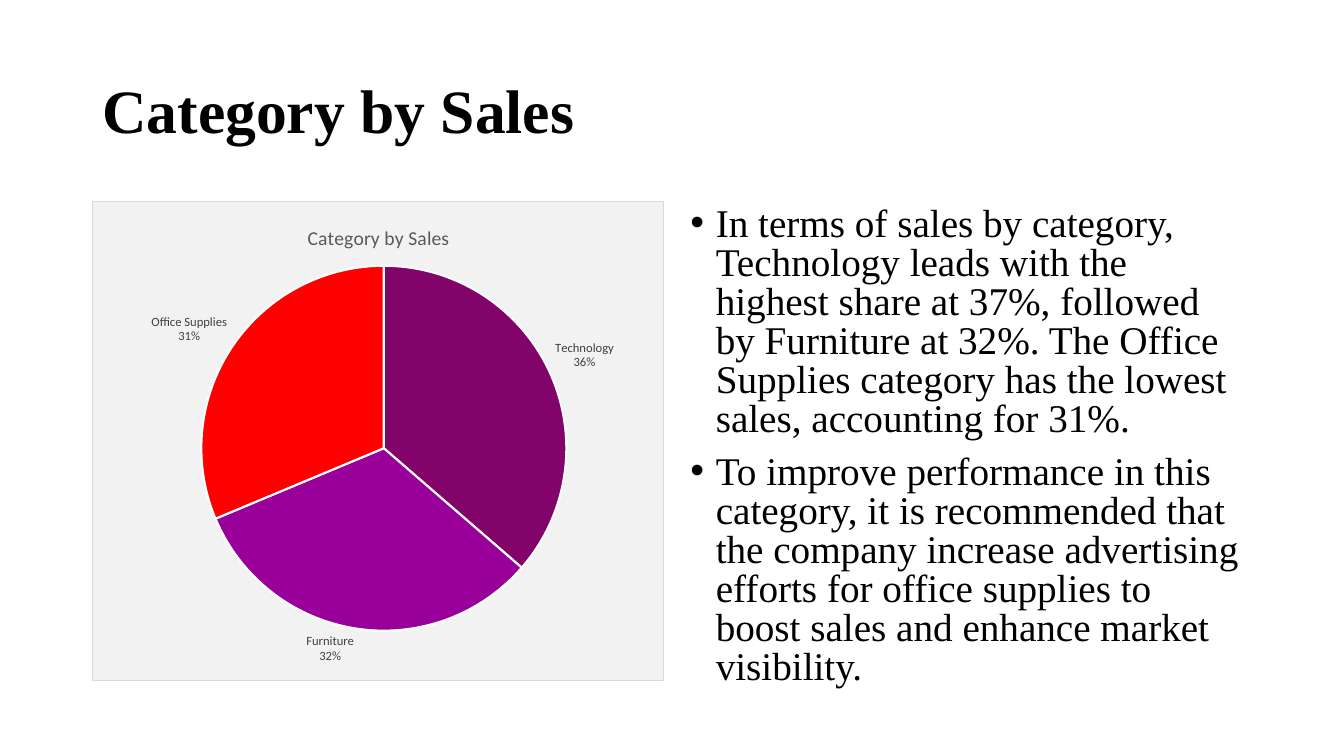
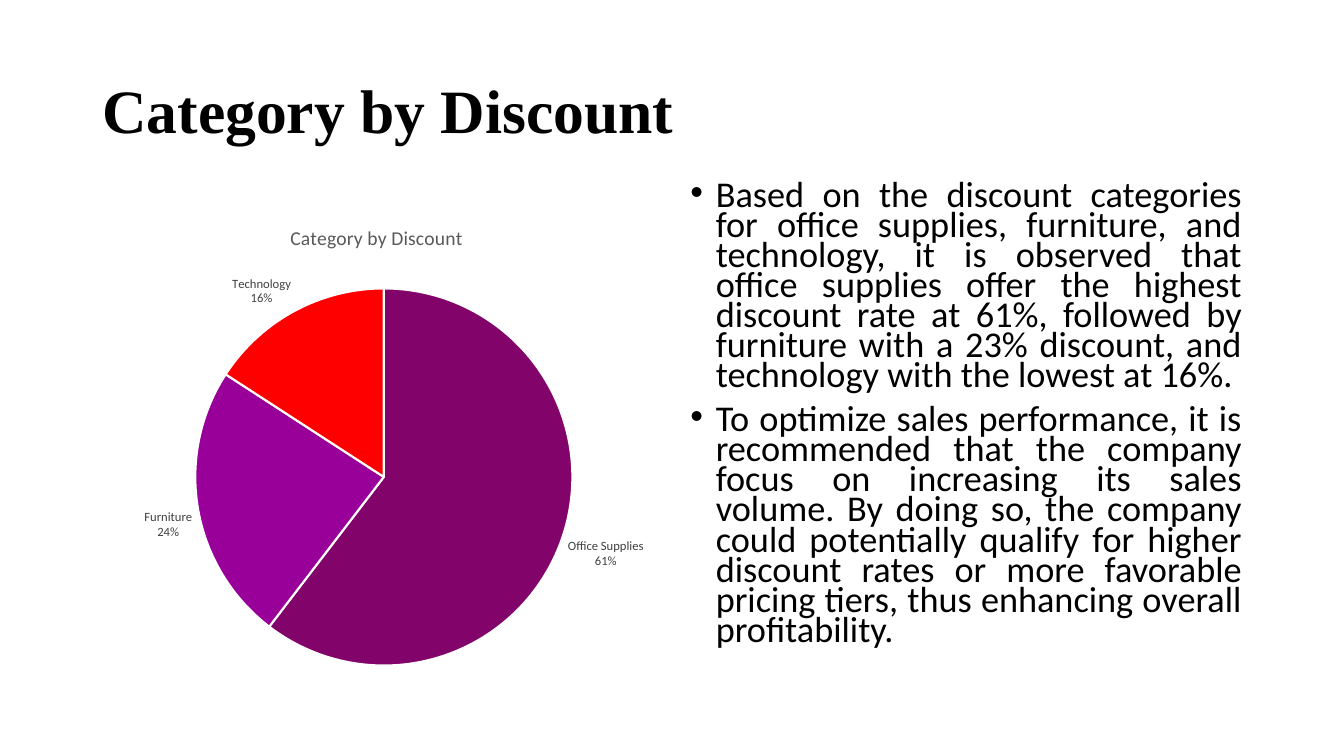
from dataclasses import dataclass

from lxml import etree
from pptx import Presentation
from pptx.chart.data import CategoryChartData
from pptx.dml.color import RGBColor
from pptx.enum.chart import XL_CHART_TYPE, XL_LABEL_POSITION
from pptx.enum.text import MSO_ANCHOR, PP_ALIGN
from pptx.oxml import parse_xml
from pptx.oxml.ns import nsdecls, qn
from pptx.util import Cm, Pt

PIE = XL_CHART_TYPE.PIE
OUTSIDE_END = XL_LABEL_POSITION.OUTSIDE_END
MIDDLE = MSO_ANCHOR.MIDDLE
LEFT = PP_ALIGN.LEFT
JUSTIFY = PP_ALIGN.JUSTIFY

BLACK = RGBColor(0x00, 0x00, 0x00)
WHITE = RGBColor(0xFF, 0xFF, 0xFF)
CHART_TITLE_GREY = RGBColor(0x59, 0x59, 0x59)
LABEL_GREY = RGBColor(0x40, 0x40, 0x40)
PANEL_GREY = RGBColor(0xF2, 0xF2, 0xF2)
PANEL_BORDER = RGBColor(0xD9, 0xD9, 0xD9)
SLICE_COLORS = (
    RGBColor(0x82, 0x04, 0x6A),
    RGBColor(0x99, 0x00, 0x99),
    RGBColor(0xFF, 0x00, 0x00),
)

SERIF = "Times New Roman"
SANS = "Calibri"

SLIDE_WIDTH, SLIDE_HEIGHT = Cm(33.87), Cm(19.05)
TITLE_BOX = (Cm(2.33), Cm(1.01), Cm(29.21), Cm(3.68))
CHART_BOX = (Cm(2.33), Cm(5.07), Cm(14.4), Cm(12.09))
BULLET_INDENT = Cm(0.64)


@dataclass
class CategorySlide:
    title: str
    shares: dict
    findings: tuple
    findings_box: tuple
    findings_font: str
    findings_size: float
    line_spacing: float
    alignment: PP_ALIGN
    chart_title_at: tuple
    pie_area: tuple
    has_panel: bool


def style_font(font, name, size, color, bold=False):
    font.name = name
    font.size = Pt(size)
    font.bold = bold
    font.color.rgb = color


def add_title(slide, title, box):
    frame = slide.shapes.add_textbox(*box).text_frame
    frame.word_wrap = True
    frame.vertical_anchor = MIDDLE
    heading = frame.paragraphs[0]
    heading.text = title
    heading.line_spacing = 0.9
    style_font(heading.runs[0].font, SERIF, 44, BLACK, bold=True)


def add_bullet(paragraph):
    properties = paragraph._p.get_or_add_pPr()
    properties.set("marL", str(BULLET_INDENT))
    properties.set("indent", str(-BULLET_INDENT))
    etree.SubElement(properties, qn("a:buFont")).set("typeface", "Arial")
    etree.SubElement(properties, qn("a:buChar")).set("char", "•")


def add_findings(slide, content, box):
    frame = slide.shapes.add_textbox(*box).text_frame
    frame.word_wrap = True
    for number, finding in enumerate(content.findings):
        paragraph = frame.add_paragraph() if number else frame.paragraphs[0]
        paragraph.text = finding
        paragraph.alignment = content.alignment
        paragraph.line_spacing = content.line_spacing
        paragraph.space_before = Pt(10)
        add_bullet(paragraph)
        style_font(paragraph.runs[0].font, content.findings_font,
                   content.findings_size, BLACK)


def set_layout(parent, index, settings):
    for old_layout in parent.findall(qn("c:layout")):
        parent.remove(old_layout)
    layout = etree.Element(qn("c:layout"))
    manual = etree.SubElement(layout, qn("c:manualLayout"))
    for tag, value in settings.items():
        etree.SubElement(manual, qn(f"c:{tag}")).set("val", str(value))
    parent.insert(index, layout)


def set_panel(chart, has_panel):
    if has_panel:
        fill = f'<a:solidFill><a:srgbClr val="{PANEL_GREY}"/></a:solidFill>'
        border = f'<a:solidFill><a:srgbClr val="{PANEL_BORDER}"/></a:solidFill>'
    else:
        fill = border = "<a:noFill/>"
    panel = parse_xml(
        f'<c:spPr {nsdecls("c", "a")}>{fill}'
        f'<a:ln w="{Pt(0.75)}">{border}</a:ln></c:spPr>'
    )
    chart._chartSpace.find(qn("c:chart")).addnext(panel)


def add_share_pie(slide, content, box):
    chart_data = CategoryChartData()
    chart_data.categories = list(content.shares)
    chart_data.add_series("Series 1", list(content.shares.values()))
    chart = slide.shapes.add_chart(PIE, *box, chart_data).chart
    chart.has_legend = False
    style_font(chart.font, SANS, 10, BLACK)
    set_panel(chart, content.has_panel)

    chart.has_title = True
    heading = chart.chart_title.text_frame.paragraphs[0]
    heading.text = content.title
    style_font(heading.runs[0].font, SANS, 14, CHART_TITLE_GREY)
    x, y = content.chart_title_at
    set_layout(chart.chart_title._element, 1,
               {"xMode": "edge", "yMode": "edge", "x": x, "y": y})

    x, y, width, height = content.pie_area
    set_layout(chart._chartSpace.find(".//" + qn("c:plotArea")), 0,
               {"layoutTarget": "inner", "xMode": "edge", "yMode": "edge",
                "x": x, "y": y, "w": width, "h": height})

    plot = chart.plots[0]
    plot.vary_by_categories = True
    for number, color in enumerate(SLICE_COLORS):
        slice_format = plot.series[0].points[number].format
        slice_format.fill.solid()
        slice_format.fill.fore_color.rgb = color
        slice_format.line.color.rgb = WHITE
        slice_format.line.width = Pt(1.5)

    plot.has_data_labels = True
    labels = plot.data_labels
    labels.show_category_name = True
    labels.show_value = True
    labels.show_percentage = False
    labels.number_format = '0"%"'
    labels.number_format_is_linked = False
    labels.position = OUTSIDE_END
    style_font(labels.font, SANS, 9, LABEL_GREY)
    separator = etree.Element(qn("c:separator"))
    separator.text = "\n"
    labels._element.find(qn("c:showBubbleSize")).addnext(separator)


def add_category_slide(presentation, content):
    slide = presentation.slides.add_slide(presentation.slide_layouts[6])
    add_title(slide, content.title, TITLE_BOX)
    add_share_pie(slide, content, CHART_BOX)
    add_findings(slide, content, content.findings_box)


CATEGORY_SLIDES = (
    CategorySlide(
        title="Category by Sales",
        shares={"Technology": 36, "Furniture": 32, "Office Supplies": 31},
        findings=(
            "In terms of sales by category, Technology leads with the highest "
            "share at 37%, followed by Furniture at 32%. The Office Supplies "
            "category has the lowest sales, accounting for 31%.",
            "To improve performance in this category, it is recommended that "
            "the company increase advertising efforts for office supplies to "
            "boost sales and enhance market visibility.",
        ),
        findings_box=(Cm(17.15), Cm(5.07), Cm(14.4), Cm(12.09)),
        findings_font=SERIF,
        findings_size=28,
        line_spacing=0.83,
        alignment=LEFT,
        chart_title_at=(0.37, 0.04),
        pie_area=(0.19, 0.13, 0.64, 0.77),
        has_panel=True,
    ),
    CategorySlide(
        title="Category by Discount",
        shares={"Office Supplies": 61, "Furniture": 24, "Technology": 16},
        findings=(
            "Based on the discount categories for office supplies, furniture, "
            "and technology, it is observed that office supplies offer the "
            "highest discount rate at 61%, followed by furniture with a 23% "
            "discount, and technology with the lowest at 16%.",
            "To optimize sales performance, it is recommended that the company "
            "focus on increasing its sales volume. By doing so, the company "
            "could potentially qualify for higher discount rates or more "
            "favorable pricing tiers, thus enhancing overall profitability.",
        ),
        findings_box=(Cm(17.15), Cm(4.5), Cm(14.4), Cm(12.66)),
        findings_font=SANS,
        findings_size=25.9,
        line_spacing=0.69,
        alignment=JUSTIFY,
        chart_title_at=(0.34, 0.04),
        pie_area=(0.18, 0.18, 0.66, 0.79),
        has_panel=False,
    ),
)


def main():
    presentation = Presentation()
    presentation.slide_width = SLIDE_WIDTH
    presentation.slide_height = SLIDE_HEIGHT
    for content in CATEGORY_SLIDES:
        add_category_slide(presentation, content)
    presentation.save("out.pptx")


if __name__ == "__main__":
    main()
